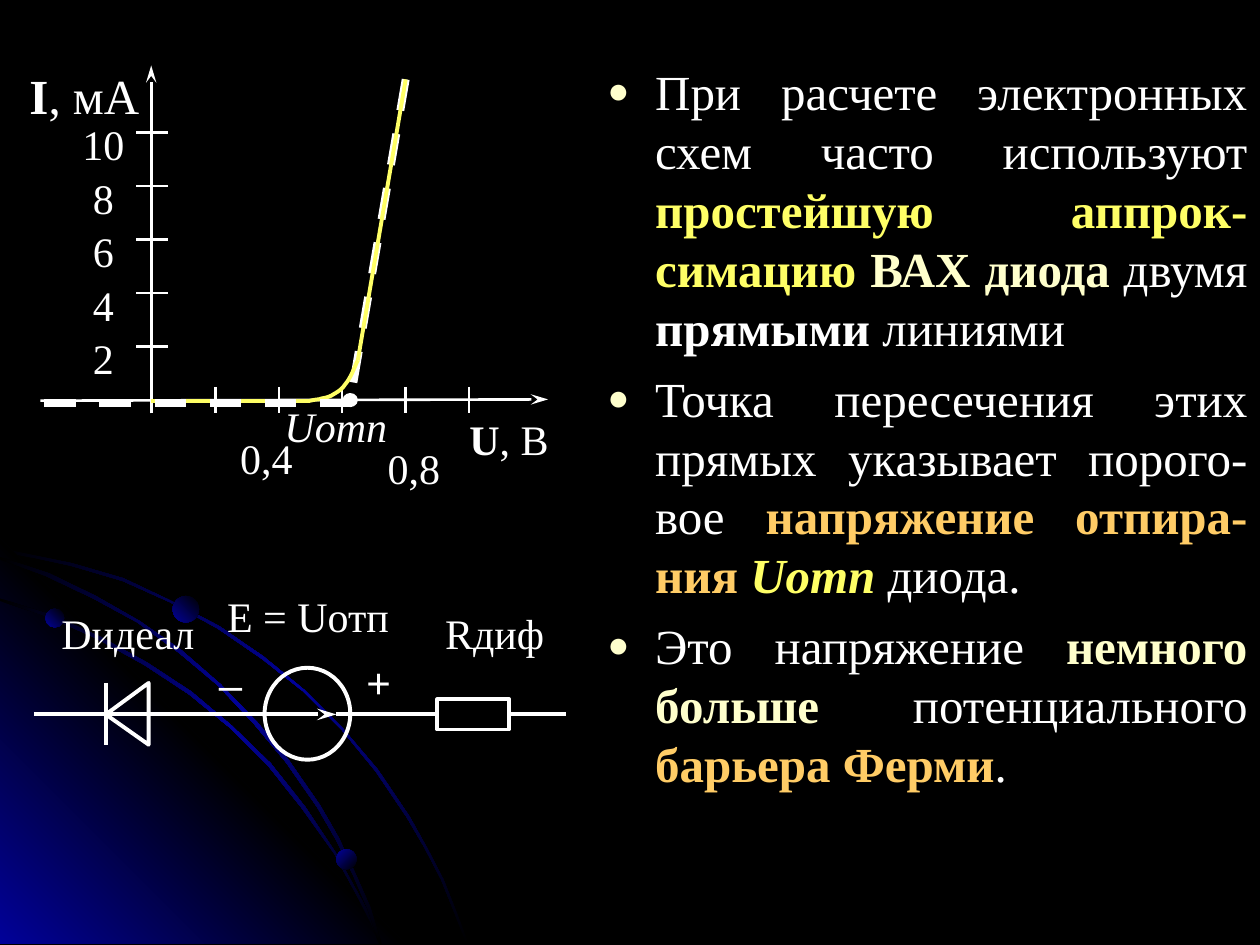
from lxml import etree
from pptx import Presentation
from pptx.dml.color import RGBColor
from pptx.enum.dml import MSO_LINE
from pptx.enum.shapes import MSO_CONNECTOR, MSO_SHAPE
from pptx.enum.text import MSO_ANCHOR, MSO_AUTO_SIZE, PP_ALIGN
from pptx.oxml import parse_xml
from pptx.oxml.ns import nsdecls, qn
from pptx.util import Inches, Pt

WHITE, CREAM, YELLOW, ORANGE = "FFFFFF", "FFFFCC", "FFFF66", "FFCC66"
BLACK, BLUE = "000000", "010199"
SERIF = "Times New Roman"
AXIS, CURVE, DASHED = 1.5, 2.25, 4.5
ORIGIN_X, ORIGIN_Y = 1.2, 3.18

ARCS = [
    [(0.57, 4.47), (0.28, 4.41), (0, 4.35), (0, 4.38), (0.28, 4.43), (0.56, 4.49),
     (0.97, 4.61), (1.35, 4.78), (1.73, 4.99), (2.08, 5.23), (2.41, 5.49), (2.71, 5.79),
     (2.98, 6.12), (3.23, 6.49), (3.37, 6.73), (3.5, 6.98), (3.6, 7.23), (3.7, 7.49),
     (3.72, 7.49), (3.62, 7.23), (3.52, 6.98), (3.39, 6.73), (3.25, 6.48), (3, 6.11),
     (2.72, 5.78), (2.42, 5.48), (2.09, 5.21), (1.74, 4.97), (1.36, 4.77), (0.98, 4.59)],
    [(2.85, 7.14), (2.94, 7.32), (3.01, 7.49), (3.03, 7.49), (2.96, 7.3), (2.86, 7.12),
     (2.66, 6.76), (2.42, 6.4), (2.15, 6.06), (1.84, 5.76), (1.52, 5.49), (1.17, 5.26),
     (0.79, 5.05), (0.41, 4.88), (0, 4.75), (0, 4.77), (0.39, 4.9), (0.77, 5.07),
     (1.15, 5.28), (1.5, 5.51), (1.83, 5.78), (2.13, 6.08), (2.4, 6.42), (2.65, 6.77)],
    [(0, 4.42), (0, 4.44), (0.36, 4.57), (0.74, 4.75), (1.09, 4.94), (1.42, 5.18),
     (1.73, 5.44), (2.02, 5.75), (2.27, 6.05), (2.52, 6.41), (2.67, 6.67), (2.8, 6.94),
     (2.92, 7.22), (3.01, 7.49), (3.03, 7.49), (2.94, 7.2), (2.82, 6.93), (2.69, 6.65),
     (2.54, 6.39), (2.29, 6.03), (2.04, 5.73), (1.75, 5.43), (1.44, 5.16), (1.11, 4.93),
     (0.76, 4.73), (0.39, 4.55)],
]
GLOW = [(3.22, 7.49), (0, 7.49), (0, 4.27)]
KNEE = [
    [(2.46, 3.18), (2.47, 3.18), (2.5, 3.17), (2.53, 3.17)],
    [(2.53, 3.17), (2.55, 3.16), (2.59, 3.16), (2.63, 3.14)],
    [(2.63, 3.14), (2.66, 3.12), (2.71, 3.1), (2.74, 3.05)],
    [(2.74, 3.05), (2.78, 3.01), (2.82, 2.9), (2.84, 2.86)],
]
# Runs: text, colour, style letters (b = bold, i = italic)
NOTES = [
    [("При расчете электронных схем часто используют ", WHITE, ""),
     ("простейшую аппрок-симацию ", YELLOW, "b"), ("ВАХ диода", CREAM, "b"),
     (" двумя ", WHITE, ""), ("прямыми", WHITE, "b"), (" линиями", WHITE, "")],
    [("Точка пересечения этих прямых указывает порого-вое ", WHITE, ""),
     ("напряжение отпира-ния ", ORANGE, "b"), ("Uотп", YELLOW, "bi"),
     (" диода.", WHITE, "")],
    [("Это напряжение ", WHITE, ""), ("немного больше", CREAM, "b"),
     (" потенциального ", WHITE, ""), ("барьера Ферми", ORANGE, "b"), (".", WHITE, "")],
]


def rgb(value):
    return RGBColor.from_string(value)


def add_runs(paragraph, runs, size, font=SERIF):
    for text, color, style in runs:
        run = paragraph.add_run()
        run.text = text
        run.font.name, run.font.size = font, Pt(size)
        run.font.bold, run.font.italic = "b" in style, "i" in style
        run.font.color.rgb = rgb(color)


def add_label(slide, box, runs, size=24, font=SERIF):
    frame = slide.shapes.add_textbox(*map(Inches, box)).text_frame
    frame.word_wrap = True
    frame.margin_left = frame.margin_right = frame.margin_top = frame.margin_bottom = 0
    frame.paragraphs[0].alignment = PP_ALIGN.CENTER
    add_runs(frame.paragraphs[0], runs, size, font)


def add_line(slide, start, end, width, color=WHITE, dashed=False, arrow=False):
    line = slide.shapes.add_connector(
        MSO_CONNECTOR.STRAIGHT, *map(Inches, (*start, *end)))
    line.line.color.rgb, line.line.width = rgb(color), Pt(width)
    if dashed:
        line.line.dash_style = MSO_LINE.DASH
    if arrow:
        etree.SubElement(line.line._get_or_add_ln(), qn("a:tailEnd"),
                         type="stealth", w="med", len="lg")
    etree.SubElement(line._element.spPr, qn("a:effectLst"))


def outline(shape, color, width):
    shape.shadow.inherit = False
    shape.fill.background()
    shape.line.color.rgb, shape.line.width = rgb(color), Pt(width)


def paint_gradient(shape, colors, angle):
    """Fill with evenly spaced colours; the angle runs clockwise in degrees."""
    shape.shadow.inherit = False
    shape.line.fill.background()
    shape.fill.gradient()
    step = 100000 // (len(colors) - 1)
    stops = "".join(f'<a:gs pos="{i * step}"><a:srgbClr val="{color}"/></a:gs>'
                    for i, color in enumerate(colors))
    gradient = parse_xml(
        f'<a:gradFill {nsdecls("a")} rotWithShape="1"><a:gsLst>{stops}</a:gsLst>'
        f'<a:lin ang="{angle * 60000}" scaled="0"/></a:gradFill>')
    properties = shape._element.spPr
    properties.replace(properties.find(qn("a:gradFill")), gradient)


def add_preset(slide, kind, box):
    return slide.shapes.add_shape(kind, *map(Inches, box))


def add_path(slide, points, close=True):
    start, *rest = [(Inches(x), Inches(y)) for x, y in points]
    builder = slide.shapes.build_freeform(*start)
    builder.add_line_segments(rest, close=close)
    return builder.convert_to_shape()


def bezier(controls, steps=6):
    """Points along a cubic curve, without its start."""
    def blend(a, b, c, d, t):
        u = 1 - t
        return a * u**3 + 3 * b * u * u * t + 3 * c * u * t * t + d * t**3
    return [tuple(blend(*axis, i / steps) for axis in zip(*controls))
            for i in range(1, steps + 1)]


def add_backdrop(slide):
    slide.background.fill.solid()
    slide.background.fill.fore_color.rgb = rgb(BLACK)
    first_arc, *other_arcs = [(arc, [BLACK, BLUE, BLACK], 225) for arc in ARCS]
    for points, colors, angle in [first_arc, (GLOW, [BLUE, BLACK, BLUE], 135), *other_arcs]:
        paint_gradient(add_path(slide, points), colors, angle)
    for left, top, size, angle in [(0.36, 4.83, 0.15, 135), (2.67, 6.74, 0.16, 225),
                                   (1.37, 4.73, 0.21, 135)]:
        planet = add_preset(slide, MSO_SHAPE.OVAL, (left, top, size, size))
        paint_gradient(planet, [BLACK, BLUE], angle)


def add_notes(body):
    body.left, body.top, body.width, body.height = map(Inches, (4.72, 0.44, 5.28, 6.26))
    frame = body.text_frame
    frame.auto_size, frame.vertical_anchor = MSO_AUTO_SIZE.NONE, MSO_ANCHOR.TOP
    for i, runs in enumerate(NOTES):
        paragraph = frame.add_paragraph() if i else frame.paragraphs[0]
        properties = paragraph._p.get_or_add_pPr()
        properties.set("marL", str(Inches(0.38)))
        properties.set("indent", str(-Inches(0.38)))
        color = etree.SubElement(properties, qn("a:buClr"))
        etree.SubElement(color, qn("a:srgbClr"), val=CREAM)
        etree.SubElement(properties, qn("a:buSzPct"), val="75000")
        etree.SubElement(properties, qn("a:buFont"), typeface="Arial")
        etree.SubElement(properties, qn("a:buChar"), char="●")
        paragraph.alignment = PP_ALIGN.JUSTIFY
        paragraph.line_spacing = 1.0
        paragraph.space_before = Pt(7 if i else 0)
        add_runs(paragraph, runs, 28)


def add_diode_graph(slide):
    knee_end, top = (2.84, 2.86), (3.22, 0.63)
    add_line(slide, top, (2.78, 3.18), DASHED, dashed=True)
    add_label(slide, (2.24, 3.18, 0.85, 0.32), [("Uотп", WHITE, "i")])
    for i in range(5):
        y = 2.75 - 0.425 * i
        add_line(slide, (1.08, y), (1.33, y), AXIS)
        add_label(slide, (0.57, y - 0.11, 0.5, 0.32), [(str(2 * i + 2), WHITE, "")])
        x = 1.71 + 0.503 * i
        add_line(slide, (x, 3.07), (x, 3.28), AXIS)
    add_line(slide, (ORIGIN_X, 3.28), (ORIGIN_X, 0.52), AXIS, arrow=True)
    add_line(slide, (0.32, ORIGIN_Y), (4.35, 3.17), AXIS, arrow=True)
    add_label(slide, (0.2, 0.52, 0.94, 0.43), [("I", WHITE, "b"), (", мА", WHITE, "")], 28)
    add_label(slide, (3.6, 3.28, 0.88, 0.32), [("U", WHITE, "b"), (", В", WHITE, "")])
    add_label(slide, (1.85, 3.43, 0.53, 0.36), [("0,4", WHITE, "")])
    add_label(slide, (3.03, 3.51, 0.51, 0.32), [("0,8", WHITE, "")])
    knee = [KNEE[0][0]] + [point for part in KNEE for point in bezier(part)]
    outline(add_path(slide, knee, close=False), YELLOW, CURVE)
    add_line(slide, knee_end, top, CURVE, YELLOW)
    add_line(slide, (ORIGIN_X, ORIGIN_Y), knee[0], CURVE, YELLOW)
    add_line(slide, (0.35, 3.2), (2.82, 3.2), DASHED, dashed=True)
    threshold = add_preset(slide, MSO_SHAPE.OVAL, (2.73, 3.13, 0.1, 0.09))
    outline(threshold, WHITE, AXIS)
    threshold.fill.solid()
    threshold.fill.fore_color.rgb = rgb(WHITE)


def add_circuit(slide):
    wire_y = 5.67
    outline(add_preset(slide, MSO_SHAPE.OVAL, (2.1, 5.3, 0.68, 0.73)), WHITE, CURVE)
    outline(add_path(slide, [(1.18, 5.42), (1.18, 5.91), (0.84, wire_y)]), WHITE, CURVE)
    add_line(slide, (0.84, 5.42), (0.84, 5.91), CURVE)
    outline(add_preset(slide, MSO_SHAPE.RECTANGLE, (3.47, 5.55, 0.57, 0.24)), WHITE, CURVE)
    for start, end, arrow in [(2.67, 3.47, False), (4.04, 4.49, False), (0.27, 2.67, True)]:
        add_line(slide, (start, wire_y), (end, wire_y), CURVE, arrow=arrow)
    for text, left, top, width, font in [
            ("+", 2.78, 5.21, 0.45, "Arial"), ("–", 1.6, 5.23, 0.46, "Arial"),
            ("Е = Uотп", 1.76, 4.69, 1.37, SERIF), ("Dидеал", 0.39, 4.82, 1.25, SERIF),
            ("Rдиф", 3.24, 4.82, 1.37, SERIF)]:
        add_label(slide, (left, top, width, 0.49), [(text, WHITE, "")], font=font)


def main():
    deck = Presentation()
    deck.slide_width, deck.slide_height = Inches(10), Inches(7.5)
    slide = deck.slides.add_slide(deck.slide_layouts[1])
    title = slide.shapes.title._element
    title.getparent().remove(title)
    add_backdrop(slide)
    add_notes(slide.placeholders[1])
    add_diode_graph(slide)
    add_circuit(slide)
    deck.save("out.pptx")


if __name__ == "__main__":
    main()
